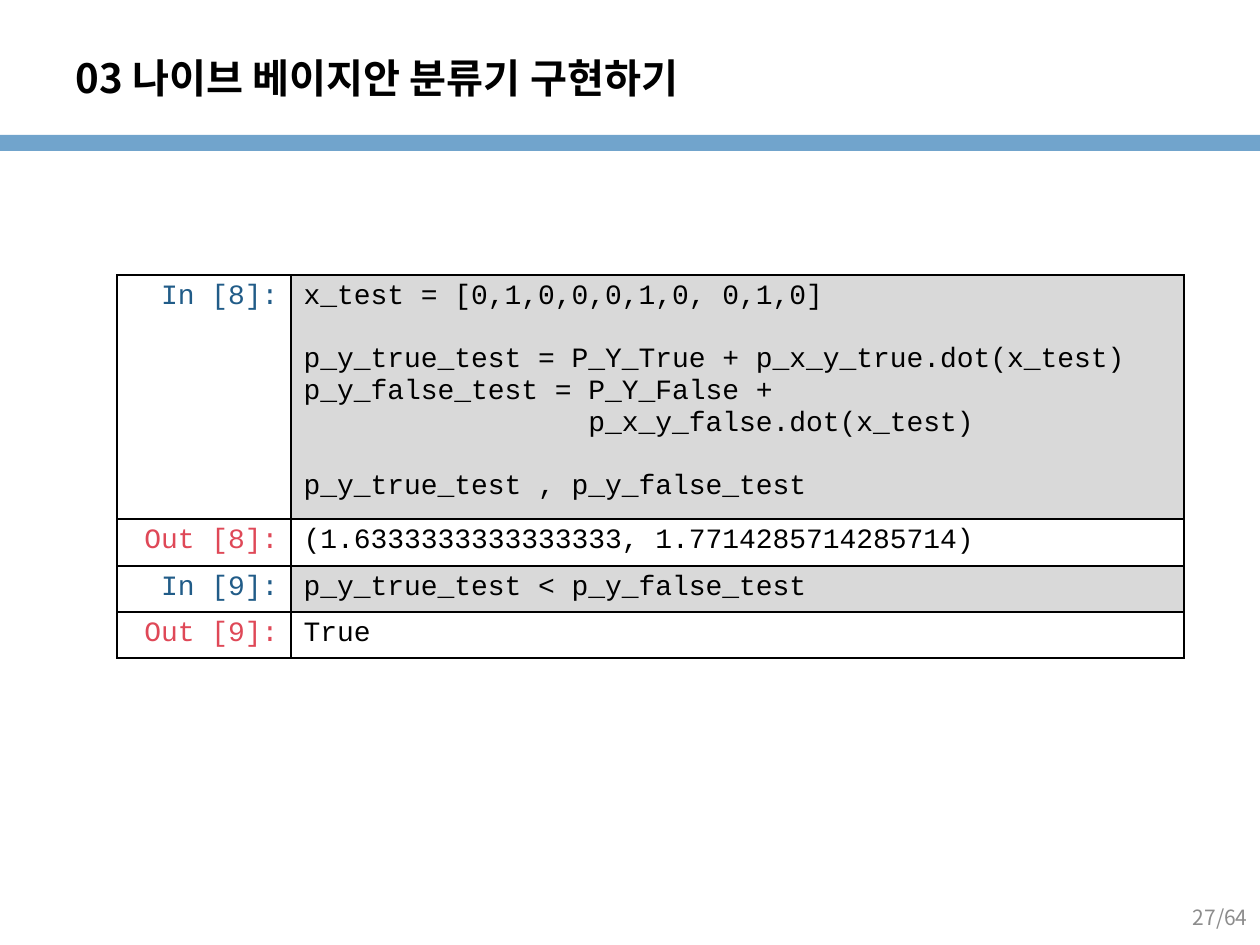
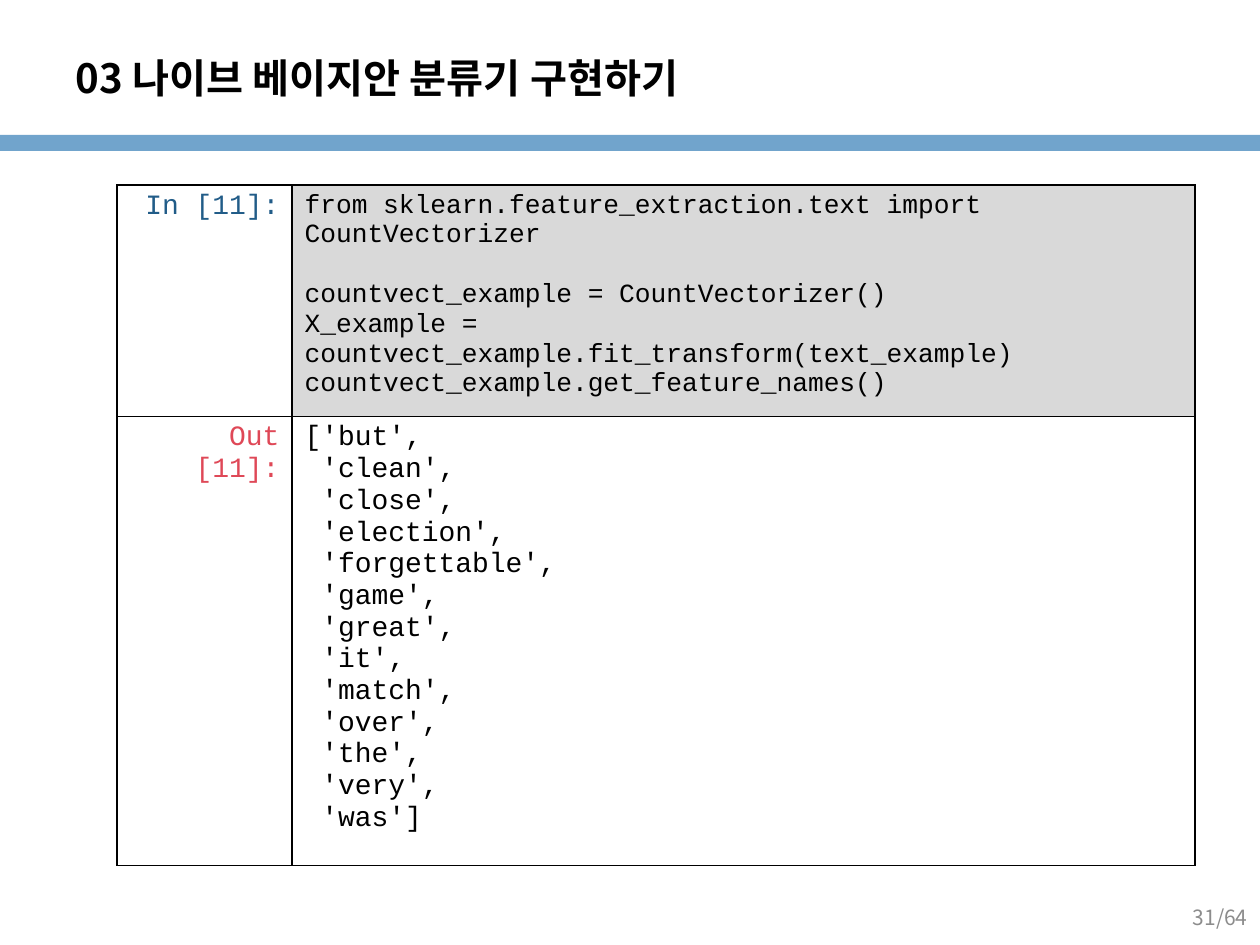
from dataclasses import dataclass

from lxml import etree
from pptx import Presentation
from pptx import util as u
from pptx.dml.color import RGBColor
from pptx.enum import shapes, text
from pptx.oxml import ns

TITLE = "03 나이브 베이지안 분류기 구현하기"
TOTAL = 64

# Row: kind, number, code lines, type size, height. An empty line opens a gap.
SLIDES = [
    {
        "page": 27, "top": 275, "cols": (174, 893),
        "rows": [
            ("In", 8, [
                "x_test = [0,1,0,0,0,1,0, 0,1,0]",
                "",
                "p_y_true_test = P_Y_True + p_x_y_true.dot(x_test)",
                "p_y_false_test = P_Y_False + \n                 p_x_y_false.dot(x_test)",
                "",
                "p_y_true_test , p_y_false_test",
            ], 16, 234),
            ("Out", 8, ["(1.6333333333333333, 1.7714285714285714)"], 16, 47),
            ("In", 9, ["p_y_true_test < p_y_false_test"], 16, 45),
            ("Out", 9, ["True"], 16, 44),
        ],
    },
    {
        "page": 31, "top": 185, "cols": (175, 903),
        "rows": [
            ("In", 11, [
                "from sklearn.feature_extraction.text import CountVectorizer",
                "",
                "countvect_example = CountVectorizer()",
                "X_example = countvect_example.fit_transform(text_example)",
                "countvect_example.get_feature_names()",
            ], 15, 221),
            ("Out", 11, [
                "['but',",
                " 'clean',",
                " 'close',",
                " 'election',",
                " 'forgettable',",
                " 'game',",
                " 'great',",
                " 'it',",
                " 'match',",
                " 'over',",
                " 'the',",
                " 'very',",
                " 'was']",
            ], 16, 425),
        ],
    },
]


@dataclass(frozen=True)
class Theme:
    sans: str = "Noto Sans CJK KR"
    mono: str = "Courier New"
    ink: str = "000000"
    band: str = "71A4CC"
    enter: str = "215C88"
    result: str = "DF4857"
    shade: str = "D9D9D9"
    mute: str = "8C8C8C"
    head: int = 23
    label: int = 16
    foot: int = 12
    lead: float = 1.13  # line height of the code font
    rule: int = 1


T = Theme()
WIDE, HIGH = 1260, 945
LEFT = 117
RIGHT = text.PP_ALIGN.RIGHT


def px(n):
    return u.Emu(n * 914400 // 126)


def box(*sides):
    return [px(n) for n in sides]


def rgb(tone):
    return RGBColor.from_string(tone)


def write(para, words, size, tone, face, bold=False):
    """Add one run per line of words, with line breaks between."""
    for i, part in enumerate(words.split("\n")):
        if i:
            para.add_line_break()
        run = para.add_run()
        run.text = part
        font = run.font
        font.name, font.size, font.bold = face, u.Pt(size), bold
        font.color.rgb = rgb(tone)
        ea = etree.SubElement(run.font.element if hasattr(run.font, "element")
                              else para.runs[-1].font._element, ns.qn("a:ea"))
        ea.set("typeface", face)


def edge(cell):
    """Rule all four sides of a cell."""
    props = cell._tc.get_or_add_tcPr()
    for side in ("lnL", "lnR", "lnT", "lnB"):
        line = etree.SubElement(props, ns.qn("a:" + side), w=str(u.Pt(T.rule)))
        fill = etree.SubElement(line, ns.qn("a:solidFill"))
        etree.SubElement(fill, ns.qn("a:srgbClr"), val=T.ink)


def code(frame, lines, size):
    para, gap = frame.paragraphs[0], 0
    for i, line in enumerate(lines):
        if not line:
            gap += size * T.lead
            continue
        if i:
            para = frame.add_paragraph()
            para.space_before = u.Pt(gap)
        write(para, line, size, T.ink, T.mono)
        gap = 0


def grid(slide, top, cols, rows):
    high = sum(row[-1] for row in rows)
    table = slide.shapes.add_table(
        len(rows), len(cols), *box(LEFT, top, sum(cols), high)).table
    table.first_row = table.horz_banding = False
    for col, wide in zip(table.columns, cols):
        col.width = px(wide)
    for row, (kind, num, lines, size, tall) in zip(table.rows, rows):
        row.height = px(tall)
        tag, body = row.cells
        for cell in (tag, body):
            edge(cell)
            cell.fill.background()
        para = tag.text_frame.paragraphs[0]
        para.alignment = RIGHT
        tone = T.enter if kind == "In" else T.result
        write(para, f"{kind} [{num}]:", T.label, tone, T.mono)
        if kind == "In":
            body.fill.solid()
            body.fill.fore_color.rgb = rgb(T.shade)
        code(body.text_frame, lines, size)


def frame(slide, page):
    """Draw the band, title and page number that all slides share."""
    band = slide.shapes.add_shape(
        shapes.MSO_SHAPE.RECTANGLE, *box(0, 135, WIDE, 16))
    band.shadow.inherit = False
    band.fill.solid()
    band.fill.fore_color.rgb = rgb(T.band)
    band.line.fill.background()

    head = slide.shapes.title
    head.left, head.top, head.width, head.height = box(63, 38, 987, 78)
    foot = slide.shapes.add_textbox(*box(966, 892, 294, 50))
    for shape, words, size, tone, side in (
        (head, TITLE, T.head, T.ink, text.PP_ALIGN.LEFT),
        (foot, f"{page}/{TOTAL}", T.foot, T.mute, RIGHT),
    ):
        body = shape.text_frame
        body.word_wrap = True
        body.vertical_anchor = text.MSO_ANCHOR.MIDDLE
        para = body.paragraphs[0]
        para.alignment = side
        write(para, words, size, tone, T.sans, shape is head)


def main():
    deck = Presentation()
    deck.slide_width, deck.slide_height = box(WIDE, HIGH)
    for item in SLIDES:
        slide = deck.slides.add_slide(deck.slide_layouts[5])
        frame(slide, item["page"])
        grid(slide, item["top"], item["cols"], item["rows"])
    deck.save("out.pptx")


if __name__ == "__main__":
    main()
